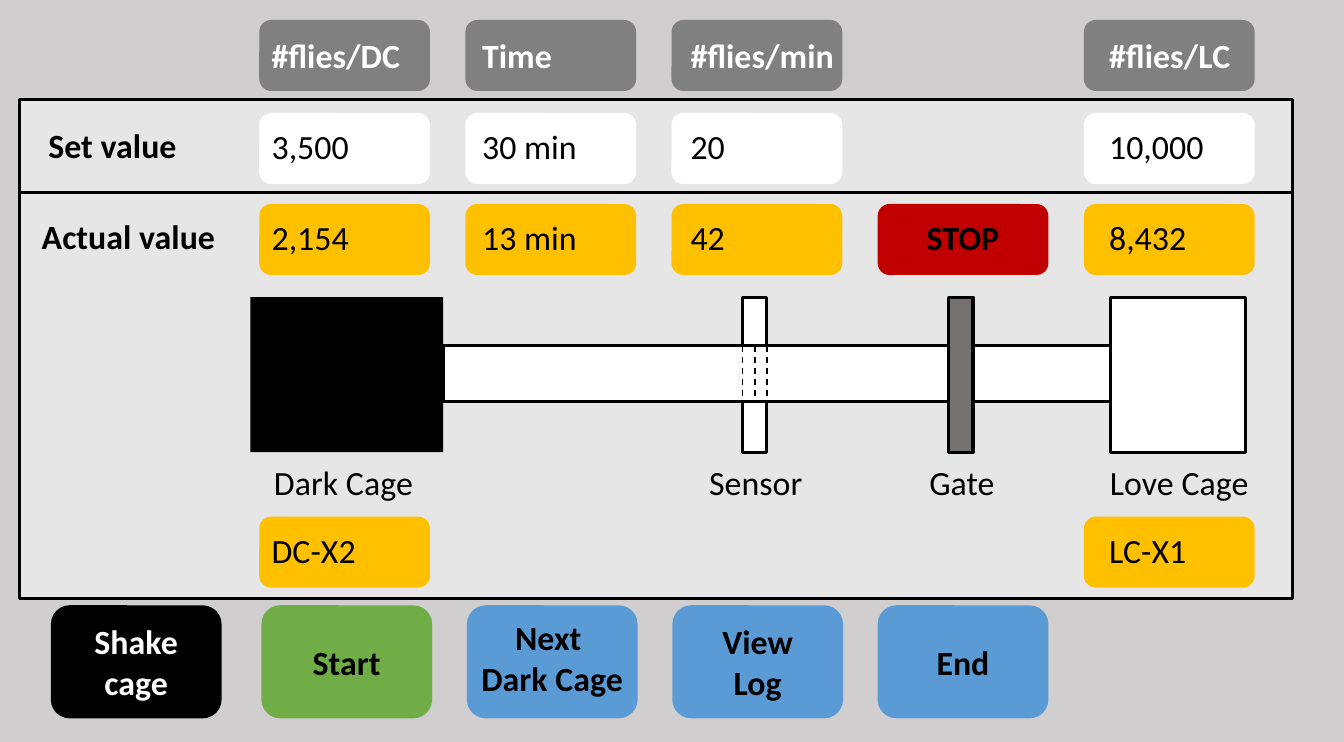
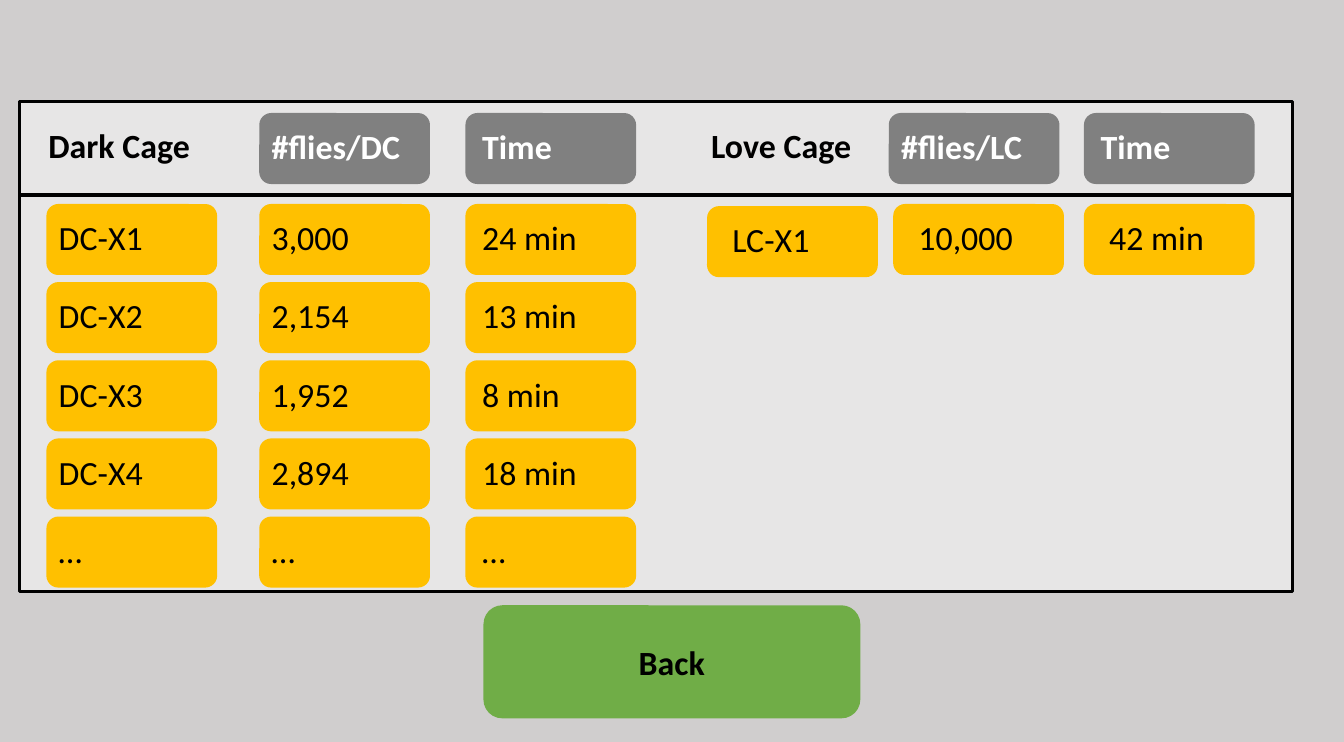
from dataclasses import dataclass
from typing import Optional, Union

from lxml.etree import SubElement
from pptx import Presentation
from pptx.dml.color import RGBColor
from pptx.enum.dml import MSO_LINE
from pptx.enum.shapes import MSO_CONNECTOR, MSO_SHAPE
from pptx.enum.text import MSO_ANCHOR, PP_ALIGN
from pptx.oxml.ns import qn
from pptx.shapes.autoshape import Shape
from pptx.shapes.shapetree import GroupShapes, SlideShapes
from pptx.slide import Slide
from pptx.util import Cm, Inches, Pt

Shapes = Union[SlideShapes, GroupShapes]

# Colours and type
BACKDROP = RGBColor(0xD0, 0xCE, 0xCE)
PANEL = RGBColor(0xE7, 0xE6, 0xE6)
HEADING = RGBColor(0x80, 0x80, 0x80)
AMBER = RGBColor(0xFF, 0xC0, 0x00)
RED = RGBColor(0xC0, 0x00, 0x00)
BLUE = RGBColor(0x5B, 0x9B, 0xD5)
GREEN = RGBColor(0x70, 0xAD, 0x47)
GATE_GREY = RGBColor(0x76, 0x71, 0x71)
WHITE = RGBColor(0xFF, 0xFF, 0xFF)
BLACK = RGBColor(0x00, 0x00, 0x00)
FONT = "Calibri"
TEXT_SIZE = Pt(11)

# Slide size, then the grid in inches
SLIDE_WIDTH, SLIDE_HEIGHT = Cm(15.4), Cm(8.5)
FIRST_COLUMN, COLUMN_PITCH = 1.17, 0.93
CHIP_WIDTH, CHIP_HEIGHT = 0.77, 0.32
HEADING_TOP, SET_TOP, ACTUAL_TOP, LAST_TOP = 0.09, 0.51, 0.92, 2.33
ROW_PITCH = (LAST_TOP - ACTUAL_TOP) / 4
PANEL_LEFT, PANEL_WIDTH = 0.09, 5.74
BUTTON_TOP, BUTTON_HEIGHT, BUTTON_INSET = 2.73, 0.51, 0.12
FIRST_BUTTON, BUTTON_PITCH = 1.18, (3.96 - 1.18) / 3
LABEL_HEIGHT, LABEL_INSET = 0.29, 0.1
CHIP_LIFT = 0.02


@dataclass(frozen=True)
class Box:
    left: float
    top: float
    width: float
    height: float


@dataclass(frozen=True)
class TextStyle:
    color: RGBColor = BLACK
    bold: bool = False
    align: PP_ALIGN = PP_ALIGN.LEFT
    inset: float = 0.04
    lift: float = CHIP_LIFT


@dataclass(frozen=True)
class Field:
    """A column of the control panel: heading, set value, actual value."""
    column: int
    heading: str
    set_value: str
    actual_value: str
    inset: float


@dataclass(frozen=True)
class Button:
    left: float
    text: str
    fill: RGBColor
    color: RGBColor = BLACK
    width: float = CHIP_WIDTH
    inset: float = BUTTON_INSET
    lift: float = 0


@dataclass(frozen=True)
class LogColumn:
    left: float
    inset: float
    values: tuple[str, ...]
    top: float = ACTUAL_TOP


def column_left(column: int) -> float:
    return FIRST_COLUMN + column * COLUMN_PITCH


def button_left(index: int) -> float:
    return FIRST_BUTTON + index * BUTTON_PITCH


# Drawing functions
def write_text(shape: Shape, text: str, style: TextStyle) -> None:
    frame = shape.text_frame
    frame.word_wrap = True
    frame.vertical_anchor = MSO_ANCHOR.MIDDLE
    frame.margin_left = Inches(style.inset)
    frame.margin_right = Inches(style.inset if style.align == PP_ALIGN.CENTER else 0)
    frame.margin_top, frame.margin_bottom = 0, Inches(style.lift)
    paragraph = frame.paragraphs[0]
    paragraph.alignment = style.align
    for index, line in enumerate(text.split("\n")):
        if index:
            paragraph.add_line_break()
        run = paragraph.add_run()
        run.text = line
        run.font.name, run.font.size = FONT, TEXT_SIZE
        run.font.bold = style.bold
        run.font.color.rgb = style.color


def draw_block(shapes: Shapes, box: Box, fill: RGBColor, outlined: bool = True,
               kind: MSO_SHAPE = MSO_SHAPE.RECTANGLE) -> Shape:
    shape = shapes.add_shape(kind, Inches(box.left), Inches(box.top),
                             Inches(box.width), Inches(box.height))
    shape.shadow.inherit = False
    shape.fill.solid()
    shape.fill.fore_color.rgb = fill
    if outlined:
        shape.line.color.rgb = BLACK
        shape.line.width = Pt(1)
    else:
        shape.line.fill.background()
    return shape


def draw_rounded(shapes: Shapes, box: Box, text: str, fill: RGBColor,
                 style: TextStyle) -> None:
    shape = draw_block(shapes, box, fill, False, MSO_SHAPE.ROUNDED_RECTANGLE)
    write_text(shape, text, style)


def draw_chip(shapes: Shapes, left: float, top: float, text: str, fill: RGBColor,
              style: TextStyle) -> None:
    draw_rounded(shapes, Box(left, top, CHIP_WIDTH, CHIP_HEIGHT), text, fill, style)


def draw_heading(shapes: Shapes, left: float, top: float, text: str, inset: float,
                 lift: float = CHIP_LIFT) -> None:
    draw_chip(shapes, left, top, text, HEADING,
              TextStyle(WHITE, True, inset=inset, lift=lift))


def draw_button(shapes: Shapes, button: Button) -> None:
    box = Box(button.left, BUTTON_TOP, button.width, BUTTON_HEIGHT)
    style = TextStyle(button.color, True, PP_ALIGN.CENTER, button.inset, button.lift)
    draw_rounded(shapes, box, button.text, button.fill, style)


def draw_label(shapes: Shapes, left: float, top: float, text: str, width: float = 1.1,
               style: Optional[TextStyle] = None) -> None:
    label = shapes.add_textbox(Inches(left), Inches(top), Inches(width),
                               Inches(LABEL_HEIGHT))
    write_text(label, text, style or TextStyle(bold=True, inset=LABEL_INSET))


def draw_dashed_line(shapes: Shapes, x: float, top: float, bottom: float) -> None:
    connector = shapes.add_connector(MSO_CONNECTOR.STRAIGHT, Inches(x), Inches(top),
                                     Inches(x), Inches(bottom))
    connector.line.color.rgb = BLACK
    connector.line.width = Pt(0.5)
    connector.line.dash_style = MSO_LINE.DASH
    SubElement(connector._element.spPr, qn("a:effectLst"))


def add_screen(presentation: Presentation, body: tuple[float, float],
               band: tuple[float, float]) -> Slide:
    """Add a grey slide with a body panel and a band above it (top, height)."""
    slide = presentation.slides.add_slide(presentation.slide_layouts[6])
    slide.background.fill.solid()
    slide.background.fill.fore_color.rgb = BACKDROP
    for top, height in (body, band):
        draw_block(slide.shapes, Box(PANEL_LEFT, top, PANEL_WIDTH, height), PANEL)
    return slide


def draw_apparatus(shapes: Shapes) -> None:
    """Draw the two cages, the tube between them, the sensor and the gate."""
    top, height = 1.34, 0.7
    sensor = Box(3.35, top, 0.11, height)
    tube = Box(2.0, 1.56, 3.01, 0.25)
    parts = shapes.add_group_shape().shapes
    draw_block(parts, sensor, WHITE)
    draw_block(parts, Box(1.13, top, 0.87, height), BLACK, outlined=False)
    draw_block(parts, Box(5.01, top, 0.61, height), WHITE)
    draw_block(parts, tube, WHITE)
    draw_block(parts, Box(4.28, top, 0.11, height), GATE_GREY)
    for step in range(3):
        draw_dashed_line(shapes, sensor.left + step * sensor.width / 2,
                         tube.top, tube.top + tube.height)

    caption_width = 0.93
    caption = TextStyle(align=PP_ALIGN.CENTER, inset=0, lift=0)
    for center, text in ((1.55, "Dark Cage"), (3.41, "Sensor"),
                         (4.34, "Gate"), (5.32, "Love Cage")):
        draw_label(shapes, center - caption_width / 2, 2.03, text, caption_width, caption)


def build_control_screen(presentation: Presentation) -> None:
    shapes = add_screen(presentation, (0.87, 1.83), (0.45, 0.42)).shapes
    draw_label(shapes, 0.12, 0.52, "Set value")
    draw_label(shapes, 0.09, 0.93, "Actual value")

    # Headings and values
    fields = (
        Field(0, "#flies/DC", "3,500", "2,154", 0.04),
        Field(1, "Time", "30 min", "13 min", 0.06),
        Field(2, "#flies/min", "20", "42", 0.07),
        Field(4, "#flies/LC", "10,000", "8,432", 0.1),
    )
    for field in fields:
        left, style = column_left(field.column), TextStyle(inset=field.inset)
        draw_heading(shapes, left, HEADING_TOP, field.heading, field.inset, lift=0)
        draw_chip(shapes, left, SET_TOP, field.set_value, WHITE, style)
        draw_chip(shapes, left, ACTUAL_TOP, field.actual_value, AMBER, style)
    draw_chip(shapes, column_left(3), ACTUAL_TOP, "STOP", RED,
              TextStyle(bold=True, align=PP_ALIGN.CENTER))

    # Cages and their names
    draw_apparatus(shapes)
    for column, name, inset in ((0, "DC-X2", 0.04), (4, "LC-X1", 0.1)):
        draw_chip(shapes, column_left(column), LAST_TOP, name, AMBER,
                  TextStyle(inset=inset))

    # Commands
    for button in (
        Button(0.23, "Shake cage", BLACK, WHITE),
        Button(button_left(0), "Start", GREEN),
        Button(button_left(1), "Next \nDark Cage", BLUE, inset=0, lift=0.04),
        Button(button_left(2), "View Log", BLUE),
        Button(button_left(3), "End", BLUE),
    ):
        draw_button(shapes, button)


def build_log_screen(presentation: Presentation) -> None:
    shapes = add_screen(presentation, (0.84, 1.83), (0.46, 0.42)).shapes

    # Headings
    draw_label(shapes, 0.12, 0.52, "Dark Cage")
    draw_label(shapes, 3.11, 0.52, "Love Cage", width=0.85)
    for left, text, inset in (
        (column_left(0), "#flies/DC", 0.04), (column_left(1), "Time", 0.06),
        (4.01, "#flies/LC", 0.04), (column_left(4), "Time", 0.06),
    ):
        draw_heading(shapes, left, SET_TOP, text, inset)

    # Logged values, one column per kind
    log = (
        LogColumn(0.21, 0.04, ("DC-X1", "DC-X2", "DC-X3", "DC-X4", "…")),
        LogColumn(column_left(0), 0.04, ("3,000", "2,154", "1,952", "2,894", "…")),
        LogColumn(column_left(1), 0.06, ("24 min", "13 min", "8 min", "18 min", "…")),
        LogColumn(3.19, 0.1, ("LC-X1",), top=0.93),
        LogColumn(4.03, 0.1, ("10,000",)),
        LogColumn(column_left(4), 0.1, ("42 min",)),
    )
    for column in log:
        for row, value in enumerate(column.values):
            draw_chip(shapes, column.left, column.top + row * ROW_PITCH, value, AMBER,
                      TextStyle(inset=column.inset))

    # Centred command
    back_width = 1.7
    draw_button(shapes, Button((SLIDE_WIDTH.inches - back_width) / 2, "Back", GREEN,
                               width=back_width))


def main() -> None:
    presentation = Presentation()
    presentation.slide_width = SLIDE_WIDTH
    presentation.slide_height = SLIDE_HEIGHT
    build_control_screen(presentation)
    build_log_screen(presentation)
    presentation.save("out.pptx")


if __name__ == "__main__":
    main()
